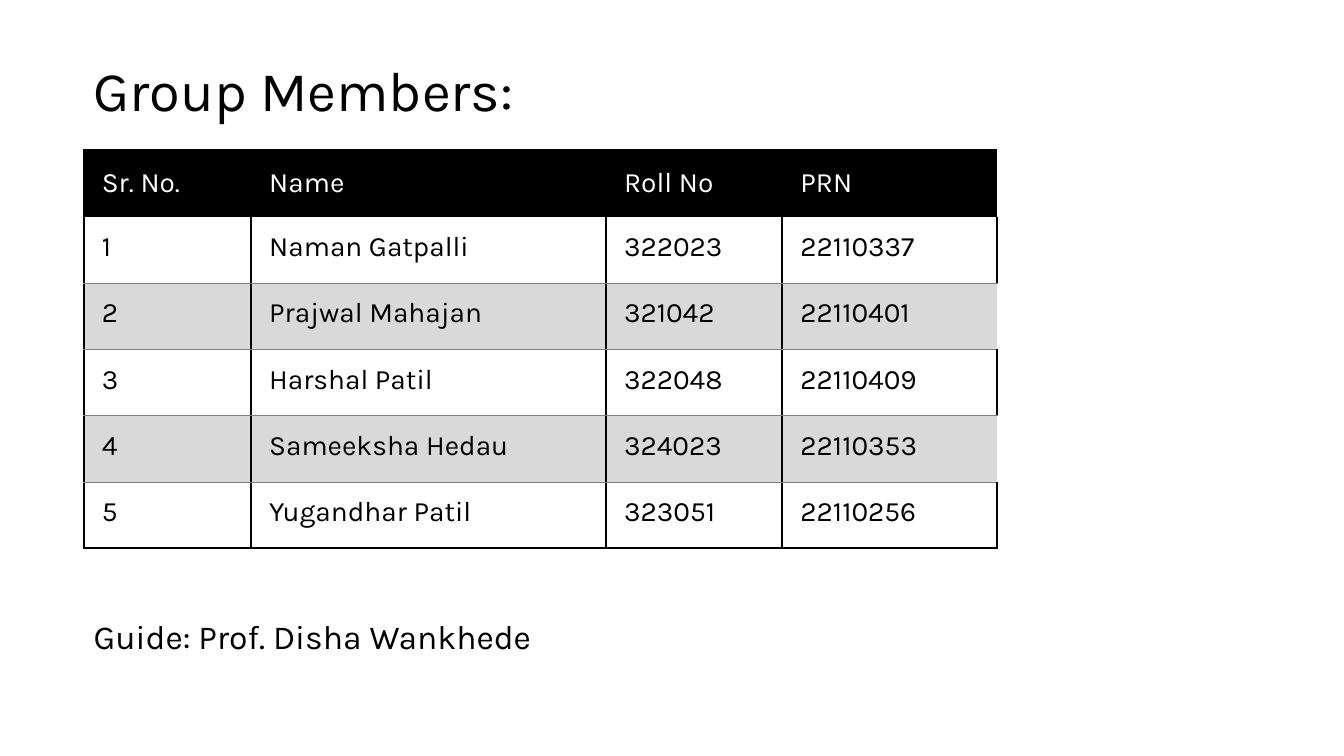
from dataclasses import dataclass
from lxml.etree import SubElement
from pptx import Presentation
from pptx.dml.color import RGBColor as RGB
from pptx.enum.shapes import MSO_SHAPE as Shape
from pptx.enum.text import MSO_ANCHOR as Anchor, PP_ALIGN as Align
from pptx.oxml.ns import qn
from pptx.util import Inches, Pt


@dataclass(frozen=True)
class Theme:
    font: str = "Karla"
    black: str = "000000"
    white: str = "FFFFFF"
    grey: str = "D9D9D9"
    rule: str = "808080"
    title: int = 40
    guide: int = 24
    cell: int = 20


THEME = Theme()
PLAIN = "{2D5ABB26-0587-4C30-8999-92F81FD0307C}"
HEAD = ("Sr. No.", "Name", "Roll No", "PRN")
MEMBERS = (
    ("1", "Naman Gatpalli", "322023", "22110337"),
    ("2", "Prajwal Mahajan", "321042", "22110401"),
    ("3", "Harshal Patil", "322048", "22110409"),
    ("4", "Sameeksha Hedau", "324023", "22110353"),
    ("5", "Yugandhar Patil", "323051", "22110256"),
)
WIDTHS = (1.66, 3.52, 1.75, 2.13)


def place(shape, box):
    shape.left, shape.top, shape.width, shape.height = map(Inches, box)


def write(frame, text, size, color, anchor):
    frame.text = text
    frame.word_wrap = True
    frame.vertical_anchor = anchor
    para = frame.paragraphs[0]
    para.alignment = Align.LEFT
    font = para.runs[0].font
    font.name, font.size = THEME.font, Pt(size)
    font.color.rgb = RGB.from_string(color)
    return para


def add_title(slide, box):
    left, top, width, height = box
    title = slide.shapes.title
    place(title, (left + 0.83, top + 0.36, 11.59, 1.13))
    para = write(title.text_frame, "Group Members:", THEME.title, THEME.black, Anchor.MIDDLE)
    para.line_spacing = 0.9
    band = slide.shapes.add_shape(Shape.RECTANGLE, *map(Inches, box))
    band.shadow.inherit = False
    band.fill.solid()
    band.fill.fore_color.rgb = RGB.from_string(THEME.white)
    band.line.fill.background()
    title.element.addprevious(band.element)


def add_edges(cell, edges):
    props = cell._tc.get_or_add_tcPr()
    for side in "LRTB":
        if side in edges:
            color, width = edges[side]
            line = SubElement(props, qn(f"a:ln{side}"), w=str(Pt(width)))
            fill = SubElement(line, qn("a:solidFill"))
            SubElement(fill, qn("a:srgbClr"), val=color)


def pick_edges(row, col):
    thick = (THEME.black, 1.5)
    if row == 0:
        return {"T": thick, "L": thick} if col == 0 else {"T": thick}
    edges = {"L": thick, "R": thick}
    if row % 2 == 0:
        edges["T"] = (THEME.rule, 0.5)
        if col == len(HEAD) - 1:
            del edges["R"]
    if row == len(MEMBERS):
        edges["B"] = thick
    return edges


def fill_cell(cell, text, row, col):
    head = row == 0
    color = THEME.white if head else THEME.black
    cell.margin_left = Inches(0.18)
    cell.margin_right = cell.margin_top = cell.margin_bottom = Inches(0.14)
    write(cell.text_frame, text, THEME.cell, color, None)
    cell.vertical_anchor = Anchor.MIDDLE if head else Anchor.TOP
    add_edges(cell, pick_edges(row, col))
    if head or row % 2 == 0:
        cell.fill.solid()
        cell.fill.fore_color.rgb = RGB.from_string(THEME.black if head else THEME.grey)
    else:
        cell.fill.background()


def add_members(slide, box):
    rows = (HEAD, *MEMBERS)
    frame = slide.shapes.add_table(len(rows), len(HEAD), *map(Inches, box))
    table = frame.table
    table.horz_banding = False
    table._tbl.tblPr.find(qn("a:tableStyleId")).text = PLAIN
    for col, width in zip(table.columns, WIDTHS):
        col.width = Inches(width)
    for r, row in enumerate(rows):
        for c, text in enumerate(row):
            fill_cell(table.cell(r, c), text, r, c)


def add_guide(slide, box):
    note = slide.shapes.add_textbox(*map(Inches, box))
    para = write(note.text_frame, "Guide: Prof. Disha Wankhede", THEME.guide, THEME.black, Anchor.BOTTOM)
    para.line_spacing = 0.9
    para.space_before = Pt(10)


def main():
    deck = Presentation()
    deck.slide_width, deck.slide_height = Inches(13.33), Inches(7.5)
    slide = deck.slides.add_slide(deck.slide_layouts[5])
    add_title(slide, (0, 0, 13.33, 1.86))
    add_guide(slide, (0.83, 5.61, 4.98, 0.95))
    add_members(slide, (0.83, 1.49, sum(WIDTHS), 3.95))
    deck.save("out.pptx")


if __name__ == "__main__":
    main()
